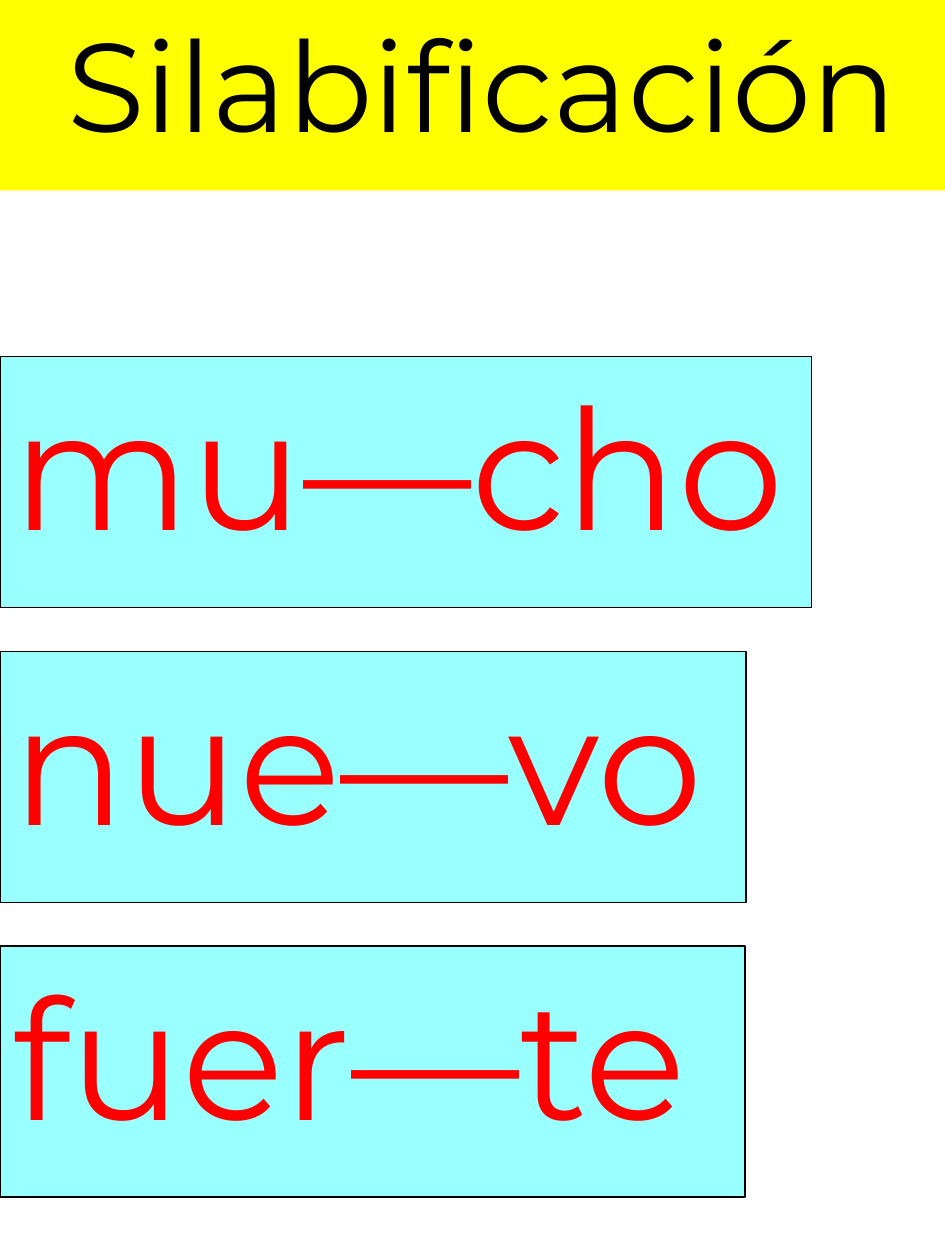
from dataclasses import dataclass
from typing import Optional

from pptx import Presentation
from pptx.dml.color import RGBColor
from pptx.enum.text import MSO_ANCHOR, MSO_AUTO_SIZE, PP_ALIGN
from pptx.slide import Slide
from pptx.util import Cm, Pt

FONT_NAME = "Montserrat"
FIRST_WORD_TOP = 7.19
WORD_STEP = 5.94
WORD_HEIGHT = 5.06


@dataclass
class Banner:
    text: str
    top: float
    width: float
    height: float
    size: int
    fill: str
    color: str
    outline: Optional[str] = None
    alignment: PP_ALIGN = PP_ALIGN.LEFT


def hex_color(value: str) -> RGBColor:
    return RGBColor.from_string(value)


def draw_banner(slide: Slide, banner: Banner) -> None:
    """Draw a filled text box that starts at the left edge of the slide."""
    shape = slide.shapes.add_textbox(
        Cm(0), Cm(banner.top), Cm(banner.width), Cm(banner.height)
    )
    shape.fill.solid()
    shape.fill.fore_color.rgb = hex_color(banner.fill)
    if banner.outline:
        shape.line.color.rgb = hex_color(banner.outline)
        shape.line.width = Pt(0.75)

    frame = shape.text_frame
    frame.word_wrap = False
    frame.auto_size = MSO_AUTO_SIZE.SHAPE_TO_FIT_TEXT
    frame.vertical_anchor = MSO_ANCHOR.TOP
    paragraph = frame.paragraphs[0]
    paragraph.alignment = banner.alignment
    run = paragraph.add_run()
    run.text = banner.text
    run.font.name = FONT_NAME
    run.font.size = Pt(banner.size)
    run.font.color.rgb = hex_color(banner.color)


def main() -> None:
    presentation = Presentation()
    presentation.slide_width = Cm(19.05)
    presentation.slide_height = Cm(25.4)
    slide = presentation.slides.add_slide(presentation.slide_layouts[6])

    # Title band
    draw_banner(slide, Banner("Silabificación", 0, 19.43, 3.84, 72, "FFFF00",
                              "000000", alignment=PP_ALIGN.CENTER))

    # Words split into syllables
    words = [("mu—cho", 16.36), ("nue—vo", 15.04), ("fuer—te", 15.02)]
    for index, (word, width) in enumerate(words):
        top = FIRST_WORD_TOP + index * WORD_STEP
        draw_banner(slide, Banner(word, top, width, WORD_HEIGHT, 96, "99FFFF",
                                  "FF0000", outline="000000"))

    presentation.save("out.pptx")


if __name__ == "__main__":
    main()
